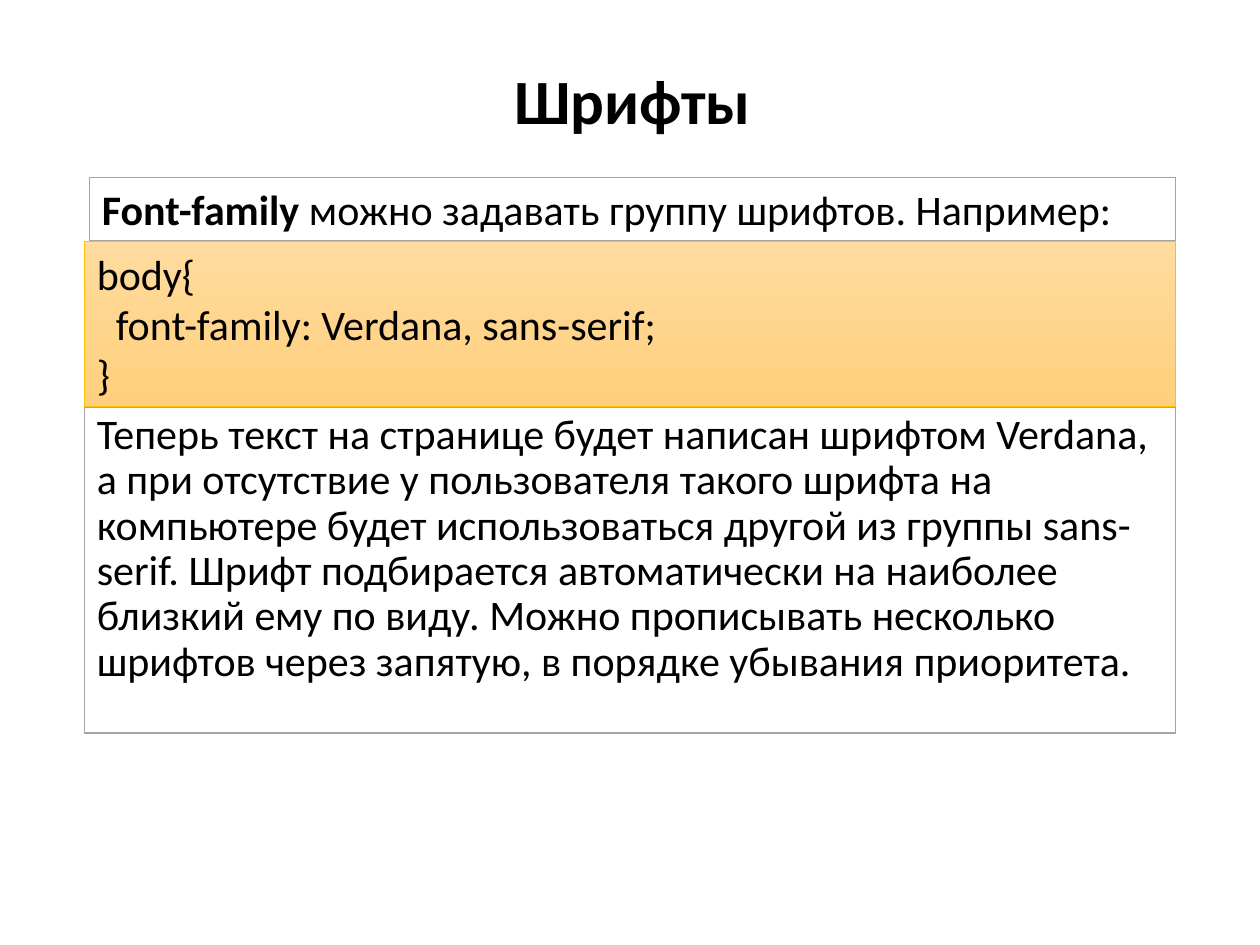
from pptx import Presentation
from pptx.dml.color import RGBColor
from pptx.enum import shapes, text
from pptx.util import Inches, Pt

COLOURS = {
    "text": "000000",
    "panel": "FFFFFF",
    "border": "A5A5A5",
    "code_top": "FFDB9E",
    "code_bottom": "FFD07C",
    "code_border": "FFC000",
}
FONT = "Calibri"

TITLE = "Шрифты"
EXPLANATION = (
    "Теперь текст на странице будет написан шрифтом Verdana, а при отсутствие "
    "у пользователя такого шрифта на компьютере будет использоваться другой из "
    "группы sans-serif. Шрифт подбирается автоматически на наиболее близкий ему "
    "по виду. Можно прописывать несколько шрифтов через запятую, в порядке "
    "убывания приоритета."
)
CODE = "body{\v  font-family: Verdana, sans-serif;\v}"
INTRO_TERM = "Font-family"
INTRO_REST = " можно задавать группу шрифтов. Например:"

# Left, top, width, height in inches
TITLE_BOX = (0.71, 0.1, 8.62, 1.45)
EXPLANATION_BOX = (0.67, 3.23, 8.66, 2.59)
CODE_BOX = (0.67, 1.92, 8.66, 1.31)
INTRO_BOX = (0.71, 1.41, 8.62, 0.5)


def colour(name):
    return RGBColor.from_string(COLOURS[name])


def style_paragraph(paragraph, size, alignment, bold=None):
    paragraph.alignment = alignment
    font = paragraph.font
    font.name, font.size, font.bold = FONT, Pt(size), bold
    font.color.rgb = colour("text")


def add_panel(slide, box, content, border="border", width=1):
    """Add a bordered white rectangle with top-left text."""
    panel = slide.shapes.add_shape(
        shapes.MSO_SHAPE.RECTANGLE, *map(Inches, box))
    panel.shadow.inherit = False
    panel.fill.solid()
    panel.fill.fore_color.rgb = colour("panel")
    panel.line.color.rgb = colour(border)
    panel.line.width = Pt(width)
    frame = panel.text_frame
    frame.word_wrap = True
    frame.vertical_anchor = text.MSO_ANCHOR.TOP
    paragraph = frame.paragraphs[0]
    paragraph.text = content
    style_paragraph(paragraph, 24, text.PP_ALIGN.LEFT)
    for run in paragraph.runs:
        run.font.color.rgb = colour("text")
    return panel


presentation = Presentation()
presentation.slide_width, presentation.slide_height = Inches(10), Inches(7.5)
slide = presentation.slides.add_slide(presentation.slide_layouts[5])

# Title
title = slide.shapes.title
title.left, title.top, title.width, title.height = map(Inches, TITLE_BOX)
title.text_frame.text = TITLE
title.text_frame.vertical_anchor = text.MSO_ANCHOR.MIDDLE
heading = title.text_frame.paragraphs[0]
heading.line_spacing = 0.9
style_paragraph(heading, 36, text.PP_ALIGN.CENTER, bold=True)

# Explanation
explanation = add_panel(slide, EXPLANATION_BOX, EXPLANATION)
explanation.text_frame.paragraphs[0].line_spacing = 0.9

# Code sample on a gradient
code = add_panel(slide, CODE_BOX, CODE, border="code_border", width=0.5)
code.fill.gradient()
code.fill.gradient_angle = 270
for stop, name in zip(code.fill.gradient_stops, ("code_top", "code_bottom")):
    stop.color.rgb = colour(name)

# Introduction with a bold term
intro = add_panel(slide, INTRO_BOX, INTRO_TERM)
sentence = intro.text_frame.paragraphs[0]
sentence.runs[0].font.bold = True
rest = sentence.add_run()
rest.text = INTRO_REST
rest.font.color.rgb = colour("text")

presentation.save("out.pptx")
